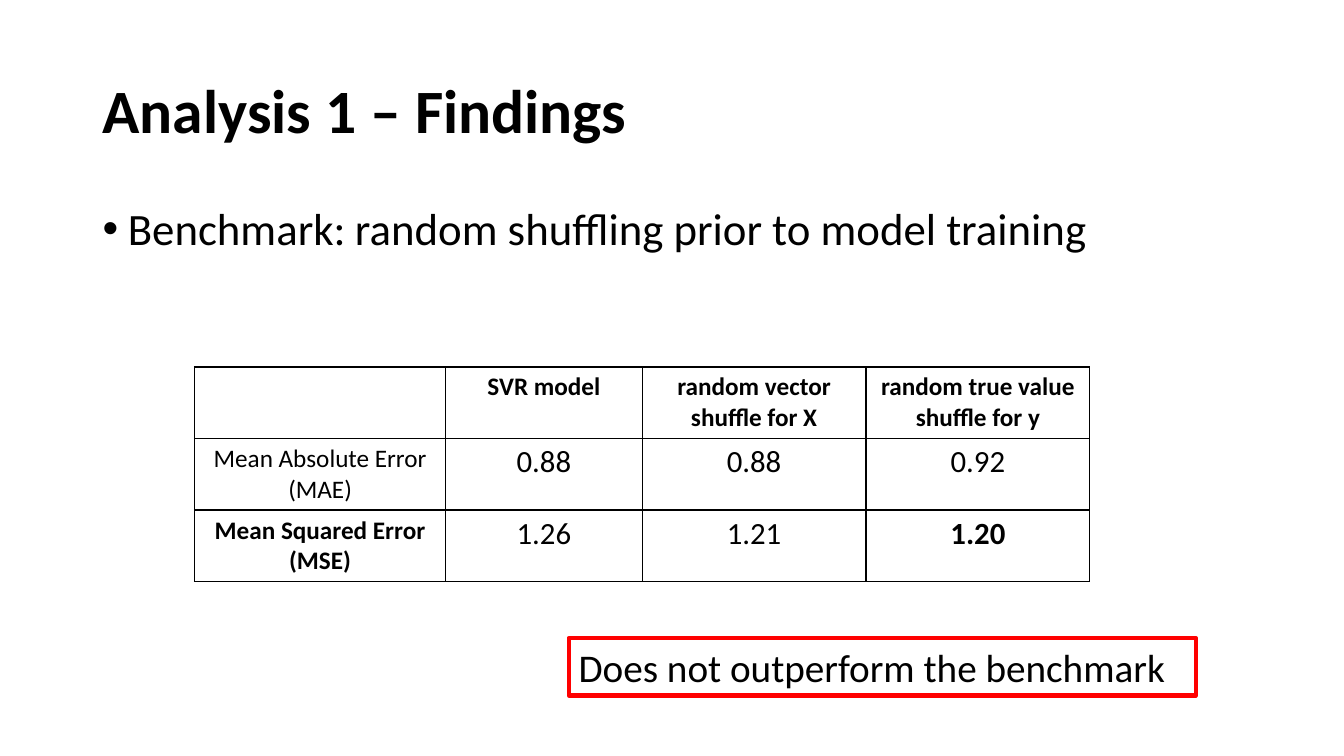
import pptx
import pptx.util
import pptx.dml.color
import pptx.enum.shapes
import pptx.enum.text
import pptx.oxml
import pptx.oxml.ns
from lxml import etree
from dataclasses import dataclass

Inches = pptx.util.Inches
Pt = pptx.util.Pt
Align = pptx.enum.text.PP_ALIGN
Anchor = pptx.enum.text.MSO_ANCHOR


@dataclass
class Theme:
    font: str = "Calibri"
    ink: str = "000000"
    paper: str = "FFFFFF"
    alert: str = "FF0000"
    title: int = 44
    bullet: int = 32
    callout: int = 28
    label: int = 18
    value: int = 22


theme = Theme()


def color(code):
    return pptx.dml.color.RGBColor.from_string(code)


def write(frame, text, size, bold=False, align=Align.LEFT, anchor=Anchor.TOP, spacing=1.0):
    frame.word_wrap = True
    frame.vertical_anchor = anchor
    paragraph = frame.paragraphs[0]
    paragraph.alignment = align
    paragraph.line_spacing = spacing
    pieces = [(text, size)] if isinstance(text, str) else text
    for words, points in pieces:
        run = paragraph.add_run()
        run.text = words
        run.font.name = theme.font
        run.font.size = Pt(points)
        run.font.bold = bold
        run.font.color.rgb = color(theme.ink)
    return paragraph


deck = pptx.Presentation()
deck.slide_width = Inches(13.33)
deck.slide_height = Inches(7.5)
slide = deck.slides.add_slide(deck.slide_layouts[6])

heading = slide.shapes.add_textbox(Inches(0.92), Inches(0.4), Inches(11.5), Inches(1.45))
write(heading.text_frame, "Analysis 1 – Findings", theme.title, bold=True, anchor=Anchor.MIDDLE, spacing=0.9)

benchmark = slide.shapes.add_textbox(Inches(0.92), Inches(2), Inches(11.5), Inches(4.76))
benchmark_words = [
    ("Benchmark:", theme.bullet),
    (" ", theme.callout),
    ("random shuffling prior to model training", theme.bullet),
]
bullet_line = write(benchmark.text_frame, benchmark_words, theme.bullet, spacing=0.9)
bullet_format = bullet_line._p.get_or_add_pPr()
bullet_format.set("marL", str(Inches(0.25)))
bullet_format.set("indent", str(-Inches(0.25)))
etree.SubElement(bullet_format, pptx.oxml.ns.qn("a:buFont"), typeface="Arial")
etree.SubElement(bullet_format, pptx.oxml.ns.qn("a:buChar"), char="•")

errors = [
    ["", "SVR model", "random vector shuffle for X", "random true value shuffle for y"],
    ["Mean Absolute Error (MAE)", "0.88", "0.88", "0.92"],
    ["Mean Squared Error (MSE)", "1.26", "1.21", "1.20"],
]
bold_cells = {(0, 1), (0, 2), (0, 3), (2, 0), (2, 3)}
column_widths = [2.49, 1.95, 2.22, 2.22]
row_height = 0.71

error_table = slide.shapes.add_table(
    len(errors), len(column_widths), Inches(1.93), Inches(3.64),
    Inches(sum(column_widths)), Inches(row_height * len(errors)),
).table
error_table.first_row = False
error_table.horz_banding = False
for column, width in zip(error_table.columns, column_widths):
    column.width = Inches(width)
for r, entries in enumerate(errors):
    error_table.rows[r].height = Inches(row_height)
    for c, entry in enumerate(entries):
        cell = error_table.cell(r, c)
        size = theme.value if r and c else theme.label
        write(cell.text_frame, entry, size, bold=(r, c) in bold_cells, align=Align.CENTER)
        cell_format = cell._tc.get_or_add_tcPr()
        for side in ("lnL", "lnR", "lnT", "lnB"):
            cell_format.append(pptx.oxml.parse_xml(
                f'<a:{side} {pptx.oxml.ns.nsdecls("a")} w="{Pt(1)}">'
                f'<a:solidFill><a:srgbClr val="{theme.ink}"/></a:solidFill></a:{side}>'
            ))
        cell.fill.background()

verdict = slide.shapes.add_shape(
    pptx.enum.shapes.MSO_SHAPE.RECTANGLE, Inches(5.64), Inches(6.33), Inches(6.22), Inches(0.57)
)
verdict.shadow.inherit = False
verdict.fill.solid()
verdict.fill.fore_color.rgb = color(theme.paper)
verdict.line.color.rgb = color(theme.alert)
verdict.line.width = Pt(3)
write(verdict.text_frame, "Does not outperform the benchmark", theme.callout)

deck.save("out.pptx")
